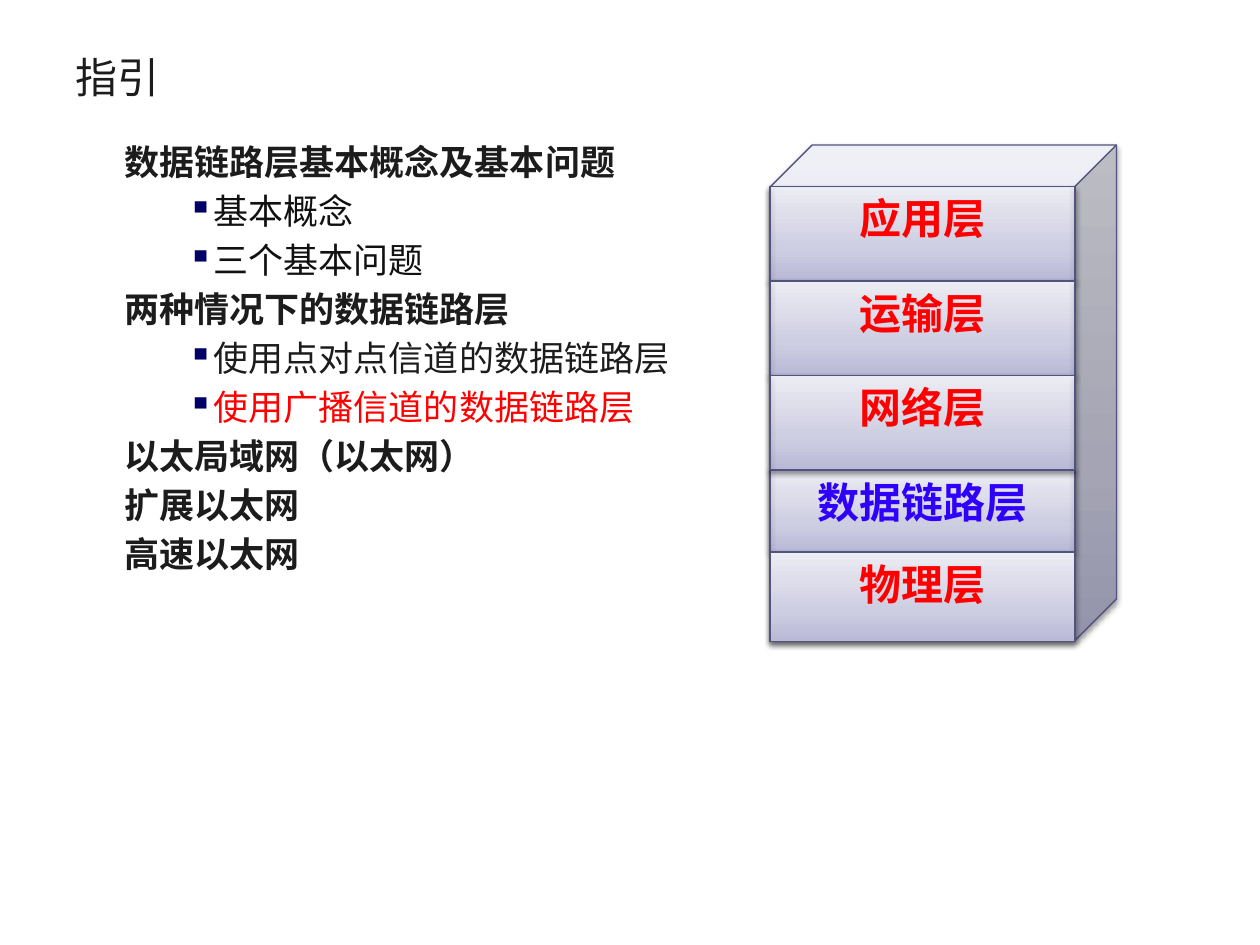
from lxml.etree import SubElement
from pptx import Presentation
from pptx.dml.color import RGBColor
from pptx.enum.shapes import MSO_CONNECTOR, MSO_SHAPE
from pptx.enum.text import MSO_ANCHOR, PP_ALIGN
from pptx.oxml import parse_xml
from pptx.oxml.ns import nsdecls, qn
from pptx.util import Pt

COLORS = {"text": "1C1C1C", "detail": "111111", "bullet": "000066",
          "red": "FF0000", "blue": "3001F9", "edge": "535380"}
LAYER_GRADIENT = [(0, "B9B9D7"), (35, "CECEE2"), (100, "ECECF4")]
CJK, LATIN = "Noto Sans CJK SC", "Lato"


def add_text(paragraph, text, size, color, bold=False, font=CJK):
    """Add one formatted run to a paragraph."""
    run = paragraph.add_run()
    run.text = text
    run.font.size, run.font.bold, run.font.name = Pt(size), bold, font
    run.font.color.rgb = RGBColor.from_string(COLORS[color])
    run._r.rPr.set("lang", "zh-CN")
    SubElement(run._r.rPr, qn("a:ea"), typeface=LATIN)


def style_block(part, filled=True):
    """Give a part of the stack its outline, soft shadow and gradient."""
    properties = part._element.spPr
    part.line.color.rgb = RGBColor.from_string(COLORS["edge"])
    part.line.width = Pt(0.75)
    if filled:
        stops = "".join(f'<a:gs pos="{pos * 1000}"><a:srgbClr val="{color}"/></a:gs>'
                        for pos, color in LAYER_GRADIENT)
        properties.find(qn("a:ln")).addprevious(parse_xml(
            f'<a:gradFill {nsdecls("a")} rotWithShape="1"><a:gsLst>{stops}</a:gsLst>'
            '<a:lin ang="16200000" scaled="0"/></a:gradFill>'))
    properties.append(parse_xml(
        f'<a:effectLst {nsdecls("a")}><a:outerShdw blurRad="{Pt(3.15)}" '
        f'dist="{Pt(1.57)}" dir="5400000" rotWithShape="0"><a:srgbClr val="000000">'
        '<a:alpha val="38000"/></a:srgbClr></a:outerShdw></a:effectLst>'))


prs = Presentation()
prs.slide_width, prs.slide_height = Pt(720), Pt(540)
slide = prs.slides.add_slide(prs.slide_layouts[6])

# Title
title = slide.shapes.add_textbox(Pt(36), Pt(21.6), Pt(648), Pt(44)).text_frame
title.word_wrap = True
title.vertical_anchor = MSO_ANCHOR.MIDDLE
add_text(title.paragraphs[0], "指引", 24, "text")

# Outline: level, text, colour
topics = [
    (0, "数据链路层基本概念及基本问题", "text"),
    (1, "基本概念", "detail"),
    (1, "三个基本问题", "detail"),
    (0, "两种情况下的数据链路层", "text"),
    (1, "使用点对点信道的数据链路层", "text"),
    (1, "使用广播信道的数据链路层", "red"),
    (0, "以太局域网（以太网）", "text"),
    (0, "扩展以太网", "text"),
    (0, "高速以太网", "text"),
]
outline = slide.shapes.add_textbox(Pt(36), Pt(77), Pt(648), Pt(376.6)).text_frame
outline.word_wrap = True
for index, (level, topic, color) in enumerate(topics):
    paragraph = outline.add_paragraph() if index else outline.paragraphs[0]
    paragraph.level = level
    paragraph.space_before = Pt(4)
    margin, indent = ((27.4, 0.6), (64.8, -0.7))[level]
    pPr = paragraph._p.get_or_add_pPr()
    pPr.set("marL", str(Pt(margin)))
    pPr.set("indent", str(Pt(indent)))
    if level:
        bullet_color = SubElement(pPr, qn("a:buClr"))
        SubElement(bullet_color, qn("a:srgbClr"), val=COLORS["bullet"])
        SubElement(pPr, qn("a:buChar"), char="▪")
    add_text(paragraph, topic, 20, color, bold=level == 0)

# Layer stack: the front faces sit on a cube
left, width = 440, 174.3
right = left + width
stack = slide.shapes.add_group_shape().shapes
cube = stack.add_shape(MSO_SHAPE.CUBE, Pt(left), Pt(82.8), Pt(198), Pt(283.6))
cube.adjustments[0] = 0.122
style_block(cube)

# Name, top, height, colour, font, bordered edges
layers = [
    ("应用层", 106.6, 54, "red", CJK, ("bottom", "left", "right")),
    ("运输层", 160.6, 54, "red", CJK, ("bottom", "left", "right")),
    ("数据链路层", 268.6, 46.8, "blue", LATIN, ("top", "left", "right")),
    ("网络层", 214.6, 54, "red", CJK, ("left", "right")),
    ("物理层", 315.4, 51, "red", LATIN, ()),
]
for name, top, height, color, font, borders in layers:
    face = stack.add_shape(MSO_SHAPE.RECTANGLE, Pt(left), Pt(top), Pt(width), Pt(height))
    style_block(face)
    face.text_frame.vertical_anchor = MSO_ANCHOR.TOP
    label = face.text_frame.paragraphs[0]
    label.alignment = PP_ALIGN.CENTER
    label.space_before = Pt(4.8)
    add_text(label, name, 24, color, bold=True, font=font)

    bottom = top + height
    ends = {"top": (left, top, right, top), "bottom": (left, bottom, right, bottom),
            "left": (left, top, left, bottom), "right": (right, top, right, bottom)}
    for border in borders:
        edge = stack.add_connector(MSO_CONNECTOR.STRAIGHT, *map(Pt, ends[border]))
        style_block(edge, filled=False)

prs.save("out.pptx")
